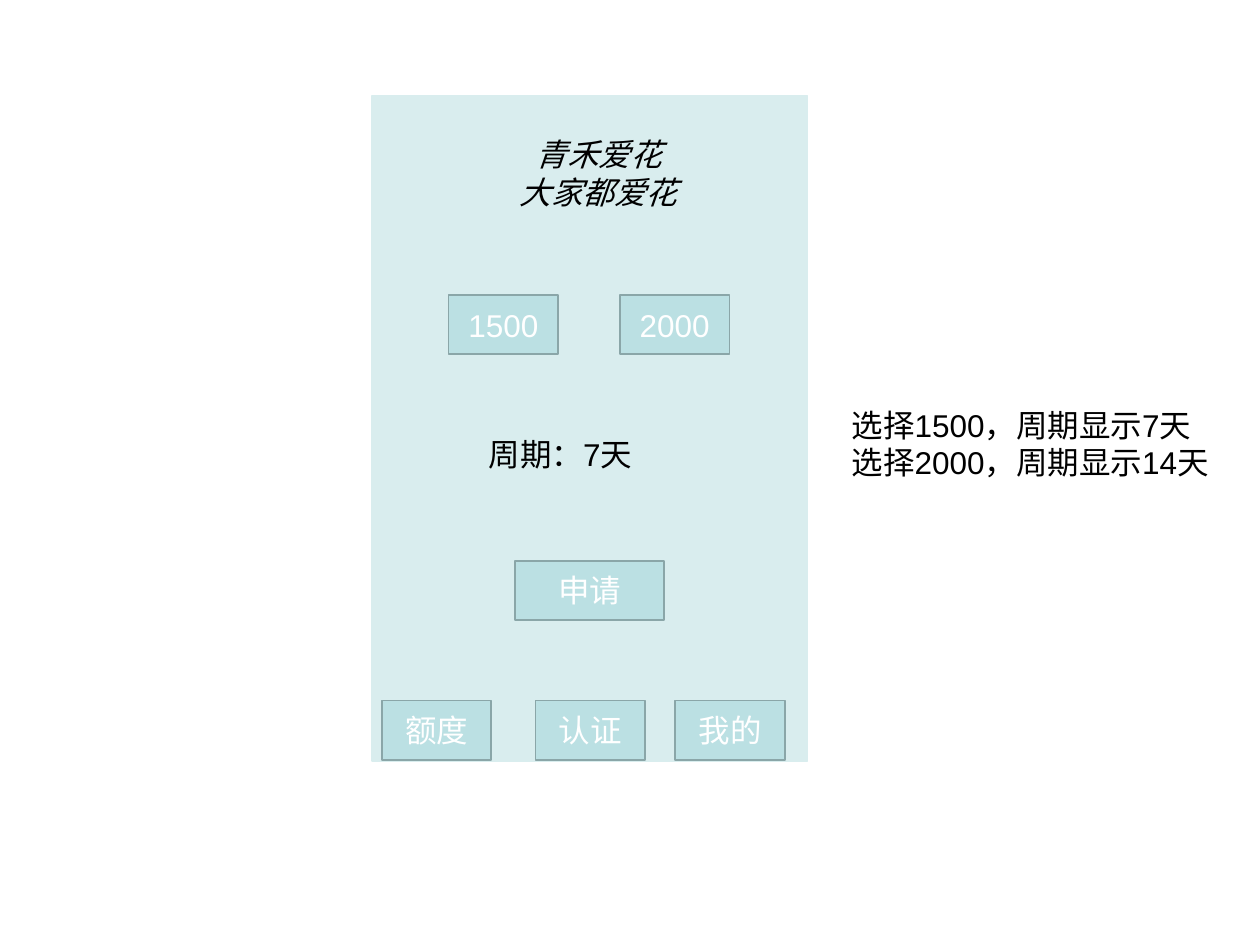
from pptx import Presentation
from pptx.dml.color import RGBColor
from pptx.enum import shapes, text
from pptx.util import Inches, Pt

PANEL, BUTTON, BORDER = "D9EDEE", "BBE0E3", "8AA6A8"
BLACK, WHITE = "000000", "FFFFFF"
BUTTON_WIDTH, BUTTON_HEIGHT = 0.87, 0.47


def color(value):
    return RGBColor.from_string(value)


def write_lines(shape, lines, ink, align, **formats):
    """Fill a shape with one paragraph per line."""
    frame = shape.text_frame
    frame.word_wrap = True
    frame.text = "\n".join(lines)
    settings = {"name": "Arial", "size": Pt(18), **formats}
    for paragraph in frame.paragraphs:
        paragraph.alignment = align
        for run in paragraph.runs:
            for name, value in settings.items():
                setattr(run.font, name, value)
            run.font.color.rgb = color(ink)


def add_box(slide, left, top, width, height, fill, line):
    shape = slide.shapes.add_shape(
        shapes.MSO_SHAPE.RECTANGLE,
        Inches(left), Inches(top), Inches(width), Inches(height))
    shape.shadow.inherit = False
    shape.fill.solid()
    shape.fill.fore_color.rgb = color(fill)
    shape.line.color.rgb = color(line)
    shape.line.width = Pt(1)
    return shape


def add_button(slide, label, left, top, width=BUTTON_WIDTH):
    button = add_box(slide, left, top, width, BUTTON_HEIGHT, BUTTON, BORDER)
    button.text_frame.vertical_anchor = text.MSO_ANCHOR.MIDDLE
    write_lines(button, [label], WHITE, text.PP_ALIGN.CENTER)


def add_label(slide, lines, left, top, width, height,
              align=text.PP_ALIGN.LEFT, **formats):
    label = slide.shapes.add_textbox(
        Inches(left), Inches(top), Inches(width), Inches(height))
    write_lines(label, lines, BLACK, align, **formats)
    label.text_frame.auto_size = text.MSO_AUTO_SIZE.SHAPE_TO_FIT_TEXT


def add_phone_screen(slide, left, top, width, height):
    add_box(slide, left, top, width, height, PANEL, PANEL)

    # Heading
    add_label(slide, ["青禾爱花", "大家都爱花"], left + 0.76, top + 0.26, 2.08, 0.71,
              text.PP_ALIGN.CENTER, name="Noto Sans CJK SC", italic=True)

    # Navigation along the bottom edge
    for label, offset in (("额度", 0.08), ("认证", 1.3), ("我的", 2.41)):
        add_button(slide, label, left + offset, top + height - BUTTON_HEIGHT - 0.01)

    # Amount choices
    for index, amount in enumerate(("1500", "2000")):
        add_button(slide, amount, left + 0.61 + index * 1.36, top + 1.58)

    # Period and application button
    add_label(slide, ["周期：7天"], left + 0.83, top + 2.64, 1.85, 0.4)
    apply_width = 1.18
    add_button(slide, "申请", left + (width - apply_width) / 2, top + 3.69, apply_width)


def add_rules_note(slide, left, top, width, height):
    rules = (("1500", 7), ("2000", 14))
    lines = [f"选择{amount}，周期显示{days}天" for amount, days in rules]
    add_label(slide, lines, left, top, width, height)


def main():
    presentation = Presentation()
    presentation.slide_width = Inches(10)
    presentation.slide_height = Inches(7.5)
    slide = presentation.slides.add_slide(presentation.slide_layouts[6])
    add_phone_screen(slide, 2.95, 0.76, 3.46, 5.28)
    add_rules_note(slide, 6.66, 3.17, 3.22, 0.7)
    presentation.save("out.pptx")


if __name__ == "__main__":
    main()
